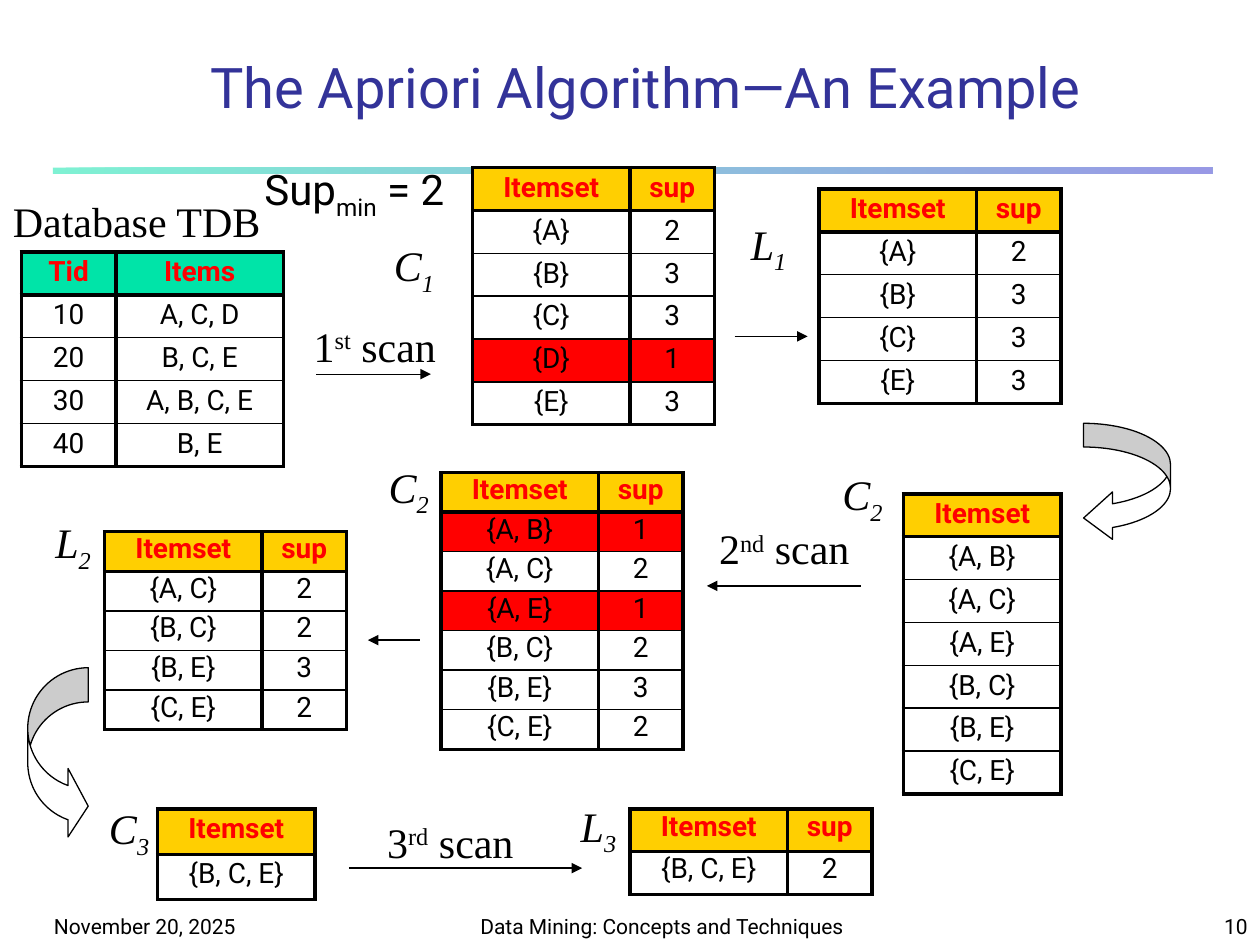
"""Build the slide that walks through the Apriori algorithm on a small database."""
from lxml import etree
from pptx import Presentation
from pptx.dml.color import RGBColor
from pptx.enum.shapes import MSO_CONNECTOR, MSO_SHAPE
from pptx.enum.text import MSO_ANCHOR, MSO_AUTO_SIZE, PP_ALIGN
from pptx.oxml.ns import qn
from pptx.util import Inches, Pt

LEFT, CENTER, RIGHT = PP_ALIGN.LEFT, PP_ALIGN.CENTER, PP_ALIGN.RIGHT
TOP, MIDDLE, BOTTOM = MSO_ANCHOR.TOP, MSO_ANCHOR.MIDDLE, MSO_ANCHOR.BOTTOM
SANS, SERIF = "Roboto", "Times New Roman"
BLACK, WHITE, RED, GREEN, GOLD = "000000", "FFFFFF", "FF0000", "00E4A8", "FFCF01"
THICK, THIN = 2.25, 1
SUBSCRIPT, SUPERSCRIPT = -25000, 30000
MINIMUM_SUPPORT = 2

TITLE = "The Apriori Algorithm—An Example "
FOOTERS = [
    (0.33, 2.08, "November 20, 2025", LEFT),
    (3.67, 3.17, "Data Mining: Concepts and Techniques", CENTER),
    (7.92, 2.08, "10", RIGHT),
]
SET_LABELS = [
    (3.02, 1.88, "C", "1"), (5.85, 1.71, "L", "1"), (0.33, 4.08, "L", "2"),
    (2.98, 3.64, "C", "2"), (6.58, 3.7, "C", "2"), (0.76, 6.35, "C", "3"),
    (4.5, 6.33, "L", "3"),
]
SCAN_LABELS = [
    (2.38, 2.49, 1.19, "1", "st"), (5.59, 4.1, 1.27, "2", "nd"),
    (2.96, 6.43, 1.23, "3", "rd"),
]
ARROWS = [
    (2.51, 3.42, 2.97), (6.83, 5.61, 4.65), (2.77, 4.62, 6.89),
    (5.83, 6.41, 2.67), (3.33, 2.92, 5.08),
]
CURVED_ARROWS = [
    (MSO_SHAPE.CURVED_LEFT_ARROW, (8.6, 3.36, 0.69, 0.94), (0.273, 0.546, 0.333)),
    (MSO_SHAPE.CURVED_RIGHT_ARROW, (0.22, 5.3, 0.48, 1.37), (0.566, 1.132, 0.333)),
]
COLUMN_WIDTHS = {"Tid": 0.75, "Items": 1.33, "Itemset": 1.25, "sup": 0.67}
TABLES = [
    (0.17, 2, 1.7, 0.9, [("Tid", "Items"), ("10", "A, C, D"), ("20", "B, C, E"),
                         ("30", "A, B, C, E"), ("40", "B, E")]),
    (3.75, 1.33, 2.04, 0.9, [("Itemset", "sup"), ("{A}", "2"), ("{B}", "3"),
                             ("{C}", "3"), ("{D}", "1"), ("{E}", "3")]),
    (6.5, 1.5, 1.7, 0.9, [("Itemset", "sup"), ("{A}", "2"), ("{B}", "3"),
                          ("{C}", "3"), ("{E}", "3")]),
    (7.17, 3.92, 2.38, 0.9, [("Itemset",), ("{A, B}",), ("{A, C}",), ("{A, E}",),
                             ("{B, C}",), ("{B, E}",), ("{C, E}",)]),
    (3.5, 3.75, 2.19, 0.8, [("Itemset", "sup"), ("{A, B}", "1"), ("{A, C}", "2"),
                            ("{A, E}", "1"), ("{B, C}", "2"), ("{B, E}", "3"),
                            ("{C, E}", "2")]),
    (0.83, 4.22, 1.57, 0.8, [("Itemset", "sup"), ("{A, C}", "2"), ("{B, C}", "2"),
                             ("{B, E}", "3"), ("{C, E}", "2")]),
    (1.25, 6.42, 0.72, 0.9, [("Itemset",), ("{B, C, E}",)]),
    (5, 6.42, 0.68, 0.8, [("Itemset", "sup"), ("{B, C, E}", "2")]),
]


def color(value):
    return RGBColor.from_string(value)


def style(font, name, size, value, bold=False, italic=False):
    font.name, font.size = name, Pt(size)
    font.bold, font.italic = bold, italic
    font.color.rgb = color(value)


def add_text(slide, box, pieces, name, size, value=BLACK, align=CENTER,
             anchor=MIDDLE, wrap=True, italic=False):
    text_frame = slide.shapes.add_textbox(*map(Inches, box)).text_frame
    text_frame.word_wrap = wrap
    text_frame.vertical_anchor = anchor
    if not wrap:
        text_frame.auto_size = MSO_AUTO_SIZE.SHAPE_TO_FIT_TEXT
    paragraph = text_frame.paragraphs[0]
    paragraph.alignment = align
    for text, baseline in pieces:
        run = paragraph.add_run()
        run.text = text
        style(run.font, name, size, value, italic=italic)
        if baseline:
            run._r.get_or_add_rPr().set("baseline", str(baseline))


def add_rule(slide):
    rule = slide.shapes.add_shape(
        MSO_SHAPE.RECTANGLE, *map(Inches, (0.42, 1.33, 9.2, 0.05)))
    rule.shadow.inherit = False
    rule.line.fill.background()
    rule.fill.gradient()
    rule.fill.gradient_angle = 0
    for stop, value in zip(rule.fill.gradient_stops, (GREEN, "3333CC")):
        stop.color.rgb = color(value)
    for element in rule._element.spPr.iter(qn("a:srgbClr")):
        etree.SubElement(element, qn("a:alpha"), val="50000")


def add_arrow(slide, start, end, y):
    arrow = slide.shapes.add_connector(
        MSO_CONNECTOR.STRAIGHT, *map(Inches, (start, y, end, y)))
    arrow.line.color.rgb = color(BLACK)
    arrow.line.width = Pt(0.75)
    etree.SubElement(arrow.line._get_or_add_ln(), qn("a:tailEnd"), type="triangle")
    etree.SubElement(arrow._element.spPr, qn("a:effectLst"))


def add_curved_arrow(slide, kind, box, adjustments):
    shape = slide.shapes.add_shape(kind, *map(Inches, box))
    shape.shadow.inherit = False
    shape.fill.solid()
    shape.fill.fore_color.rgb = color(WHITE)
    shape.line.color.rgb = color(BLACK)
    shape.line.width = Pt(0.75)
    for index, value in enumerate(adjustments):
        shape.adjustments[index] = value


def set_borders(cell, top, bottom):
    properties = cell._tc.get_or_add_tcPr()
    for side, width in (("L", THICK), ("R", THICK), ("T", top), ("B", bottom)):
        line = etree.SubElement(properties, qn(f"a:ln{side}"), w=str(Pt(width)))
        fill = etree.SubElement(line, qn("a:solidFill"))
        etree.SubElement(fill, qn("a:srgbClr"), val=BLACK)


def add_itemset_table(slide, left, top, height, spacing, rows):
    header = rows[0]
    widths = [COLUMN_WIDTHS[name] for name in header]
    table = slide.shapes.add_table(
        len(rows), len(header),
        *map(Inches, (left, top, sum(widths), height))).table
    table.first_row = table.horz_banding = False
    for column, width in zip(table.columns, widths):
        column.width = Inches(width)
    header_fill = GREEN if "Tid" in header else GOLD
    for row_index, values in enumerate(rows):
        is_header = row_index == 0
        is_last = row_index == len(rows) - 1
        is_pruned = "sup" in header and not is_header and int(values[-1]) < MINIMUM_SUPPORT
        for column_index, value in enumerate(values):
            cell = table.cell(row_index, column_index)
            set_borders(cell, THICK if row_index <= 1 else THIN,
                        THICK if is_header or is_last else THIN)
            if is_header or is_pruned:
                cell.fill.solid()
                cell.fill.fore_color.rgb = color(header_fill if is_header else RED)
            else:
                cell.fill.background()
            cell.text_frame.text = value
            paragraph = cell.text_frame.paragraphs[0]
            paragraph.alignment = CENTER
            paragraph.line_spacing = spacing
            style(paragraph.runs[0].font, SANS, 16,
                  RED if is_header else BLACK, bold=is_header)


def main():
    presentation = Presentation()
    presentation.slide_width, presentation.slide_height = Inches(10), Inches(7.5)
    slide = presentation.slides.add_slide(presentation.slide_layouts[6])
    add_rule(slide)
    for left, width, text, align in FOOTERS:
        add_text(slide, (left, 7.08, width, 0.42), [(text, 0)], SANS, 12,
                 align=align, anchor=BOTTOM)
    add_text(slide, (0.92, 0.33, 8.52, 0.67), [(TITLE, 0)], SANS, 32, "333399",
             anchor=BOTTOM)
    add_text(slide, (0, 1.5, 2.17, 0.5), [("Database TDB", 0)], SERIF, 24, wrap=False)
    for left, top, letter, number in SET_LABELS:
        add_text(slide, (left, top, 0.53 if letter == "C" else 0.5, 0.5),
                 [(letter, 0), (number, SUBSCRIPT)], SERIF, 24, wrap=False, italic=True)
    for left, top, width, number, ending in SCAN_LABELS:
        add_text(slide, (left, top, width, 0.5),
                 [(number, 0), (ending, SUPERSCRIPT), (" scan", 0)], SERIF, 24, wrap=False)
    for arrow in ARROWS:
        add_arrow(slide, *arrow)
    for curved_arrow in CURVED_ARROWS:
        add_curved_arrow(slide, *curved_arrow)
    for table in TABLES:
        add_itemset_table(slide, *table)
    add_text(slide, (2, 1.25, 1.92, 0.5),
             [("Sup", 0), ("min", SUBSCRIPT), (f" = {MINIMUM_SUPPORT}", 0)],
             SANS, 24, align=LEFT, anchor=TOP)
    presentation.save("out.pptx")


if __name__ == "__main__":
    main()
